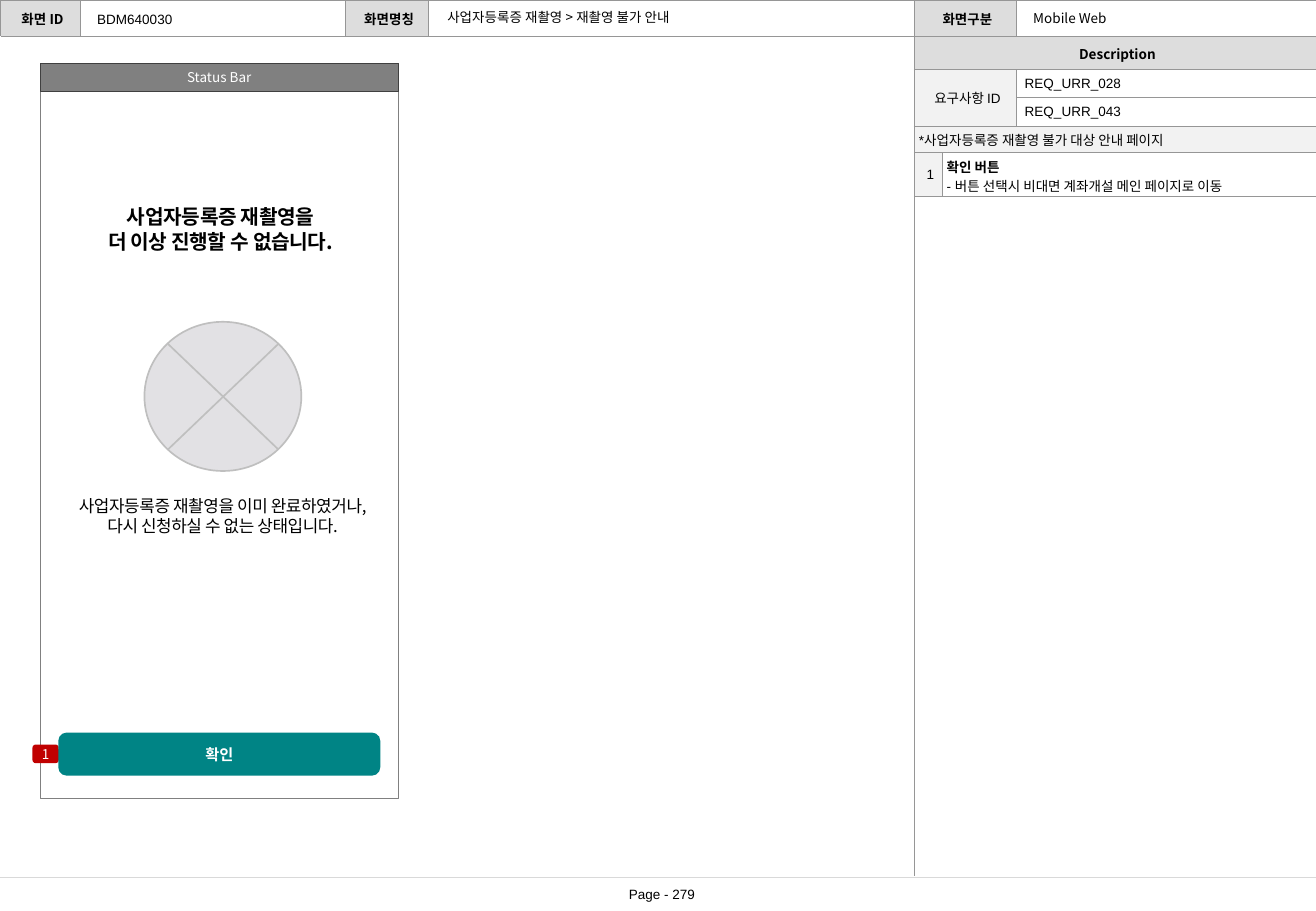
from dataclasses import dataclass
from typing import Optional

from lxml import etree
from pptx import Presentation
from pptx.dml.color import RGBColor
from pptx.enum import shapes as kinds, text as txt
from pptx.oxml import ns
from pptx.util import Cm, Pt


@dataclass(frozen=True)
class Theme:
    latin: str = "Arial"
    noto: str = "Noto Sans CJK KR"
    black: str = "000000"
    white: str = "FFFFFF"
    head: str = "DDDDDD"
    label: str = "F2F2F2"
    grid: str = "969696"
    bar: str = "808080"
    edge: str = "404040"
    rule: str = "D9D9D9"
    disc: str = "E2E1E4"
    cross: str = "BFBFBF"
    teal: str = "008485"
    red: str = "C00000"
    small: float = 8
    button: float = 9
    body: float = 10
    title: float = 12


T = Theme()
LEFT, MID = txt.PP_ALIGN.LEFT, txt.PP_ALIGN.CENTER
TOP, CENTRE = txt.MSO_ANCHOR.TOP, txt.MSO_ANCHOR.MIDDLE
KIND = kinds.MSO_SHAPE


@dataclass
class Cell:
    row: int
    col: int
    lines: tuple = ()
    fill: Optional[str] = None
    rows: int = 1
    cols: int = 1
    bold: tuple = ()
    font: str = T.latin
    align: txt.PP_ALIGN = MID
    anchor: txt.MSO_ANCHOR = CENTRE
    pad: tuple = (0.1, 0, 0, 0)
    sides: str = "LRTB"


@dataclass
class Box:
    kind: KIND
    area: tuple
    fill: str
    line: Optional[str] = None
    width: float = 0.25
    label: str = ""
    size: float = T.small
    bold: bool = False
    round: Optional[float] = None


def write(frame, lines, *, size=T.small, font=T.noto, color=T.black, bold=(),
          align=LEFT, anchor=CENTRE, pad=(0, 0, 0, 0), wrap=True,
          pitch=None, track=None) -> None:
    """Fill a text frame; bold lists the indexes of the bold lines."""
    frame.word_wrap, frame.vertical_anchor = wrap, anchor
    frame.auto_size = txt.MSO_AUTO_SIZE.NONE
    (frame.margin_left, frame.margin_top,
     frame.margin_right, frame.margin_bottom) = map(Cm, pad)
    for i, line in enumerate(lines):
        para = frame.add_paragraph() if i else frame.paragraphs[0]
        para.alignment = align
        if pitch:
            para.line_spacing = Pt(pitch)
        run = para.add_run()
        run.text = line
        run.font.size, run.font.name, run.font.bold = Pt(size), font, i in bold
        run.font.color.rgb = RGBColor.from_string(color)
        props = run.font._element
        etree.SubElement(props, ns.qn("a:ea")).set("typeface", T.noto)
        if track:
            props.set("spc", str(track))


def label(slide, area: tuple, lines: tuple, **form) -> None:
    write(slide.shapes.add_textbox(*map(Cm, area)).text_frame, lines, **form)


def draw(slide, box: Box) -> None:
    shape = slide.shapes.add_shape(box.kind, *map(Cm, box.area))
    shape.shadow.inherit = False
    shape.fill.solid()
    shape.fill.fore_color.rgb = RGBColor.from_string(box.fill)
    if box.line:
        shape.line.color.rgb = RGBColor.from_string(box.line)
        shape.line.width = Pt(box.width)
    else:
        shape.line.fill.background()
    if box.round is not None:
        shape.adjustments[0] = box.round
    if box.label:
        write(shape.text_frame, (box.label,), size=box.size, color=T.white,
              bold=(0,) if box.bold else (), align=MID)


def stroke(slide, ends: tuple, color: str, width: float) -> None:
    line = slide.shapes.add_connector(kinds.MSO_CONNECTOR.STRAIGHT, *map(Cm, ends))
    line.line.color.rgb = RGBColor.from_string(color)
    line.line.width = Pt(width)
    etree.SubElement(line._element.spPr, ns.qn("a:effectLst"))


def edge(cell, sides: str) -> None:
    props = cell._tc.get_or_add_tcPr()
    for side in sides:
        line = etree.SubElement(props, ns.qn(f"a:ln{side}"), w=str(Pt(0.25)))
        fill = etree.SubElement(line, ns.qn("a:solidFill"))
        etree.SubElement(fill, ns.qn("a:srgbClr"), val=T.grid)


def grid(slide, left: float, top: float, cols: tuple, rows: tuple, cells: list) -> None:
    area = map(Cm, (left, top, sum(cols), sum(rows)))
    table = slide.shapes.add_table(len(rows), len(cols), *area).table
    for parts, sizes, key in ((table.columns, cols, "width"), (table.rows, rows, "height")):
        for part, size in zip(parts, sizes):
            setattr(part, key, Cm(size))
    for item in table.iter_cells():
        end = item.text_frame.paragraphs[0]._p.get_or_add_endParaRPr()
        end.set("sz", str(T.small * 100))
    for c in cells:
        cell = table.cell(c.row, c.col)
        if c.rows * c.cols > 1:
            cell.merge(table.cell(c.row + c.rows - 1, c.col + c.cols - 1))
        for i in range(c.rows):
            for j in range(c.cols):
                edge(table.cell(c.row + i, c.col + j), c.sides)
        if c.fill:
            cell.fill.solid()
            cell.fill.fore_color.rgb = RGBColor.from_string(c.fill)
        else:
            cell.fill.background()
        cell.vertical_anchor = c.anchor
        (cell.margin_left, cell.margin_top,
         cell.margin_right, cell.margin_bottom) = map(Cm, c.pad)
        if c.lines:
            write(cell.text_frame, c.lines, font=c.font, bold=c.bold,
                  align=c.align, anchor=c.anchor, pad=c.pad)


def main() -> None:
    deck = Presentation()
    deck.slide_width, deck.slide_height = Cm(27.51), Cm(19.05)
    slide = deck.slides.add_slide(deck.slide_layouts[5])
    inset = (0.28, 0.1, 0.28, 0.1)
    side = 19.11

    # Screen name
    name = slide.shapes.title
    name.left, name.top, name.width, name.height = map(Cm, (9.07, 0.05, 9.93, 0.61))
    write(name.text_frame, ("사업자등록증 재촬영 > 재촬영 불가 안내",), pad=inset)

    # Page grid
    heads = [Cell(0, col, (word,), T.head, bold=(0,), font=T.noto)
             for col, word in ((0, "화면 ID"), (2, "화면명칭"), (4, "화면구분"))]
    blanks = [Cell(0, col) for col in (1, 3, 5)]
    grid(slide, 0, 0, (1.68, 5.54, 1.73, 10.16, 2.13, 6.27), (0.76, 0.71, 16.87),
         heads + blanks + [
             Cell(1, 0, rows=2, cols=4, sides="RT"),
             Cell(1, 4, ("Description",), T.head, cols=2, bold=(0,), font=T.noto),
             Cell(2, 4, cols=2, sides="LT")])
    label(slide, (1.75, 0.1, 4.95, 0.61), ("BDM640030",), font=T.latin, pad=inset)
    label(slide, (21.32, 0.08, 6, 0.61), ("Mobile Web",), pad=inset)

    # Footer
    stroke(slide, (0, 18.34, 27.51, 18.34), T.rule, 0.5)
    label(slide, (12.84, 18.32, 2, 0.74), ("Page - 279",), font=T.latin,
          align=MID, wrap=False)

    # Requirements and description
    codes = [Cell(row, 1, (code,), T.white, align=LEFT, pad=(0.18, 0, 0, 0))
             for row, code in enumerate(("REQ_URR_028", "REQ_URR_043"))]
    grid(slide, side, 1.45, (2.13, 6.27), (0.59, 0.59),
         [Cell(0, 0, ("요구사항 ID",), T.label, rows=2)] + codes)
    grid(slide, side, 2.64, (0.58, 7.82), (0.55, 0.92), [
        Cell(0, 0, ("*사업자등록증 재촬영 불가 대상 안내 페이지",), T.label,
             cols=2, align=LEFT),
        Cell(1, 0, ("1",), T.label),
        Cell(1, 1, ("확인 버튼", "- 버튼 선택시 비대면 계좌개설 메인 페이지로 이동"), T.white,
             bold=(0,), align=LEFT, anchor=TOP, pad=(0.1, 0.08, 0.1, 0))])

    # Phone screen
    for box in (
        Box(KIND.RECTANGLE, (0.84, 1.32, 7.49, 15.37), T.white, T.bar),
        Box(KIND.RECTANGLE, (0.84, 1.32, 7.49, 0.59), T.bar, T.edge, label="Status Bar"),
        Box(KIND.OVAL, (3.02, 6.73, 3.28, 3.12), T.disc, T.cross, 1),
        Box(KIND.ROUNDED_RECTANGLE, (0.68, 15.57, 0.55, 0.39), T.red, label="1"),
        Box(KIND.ROUNDED_RECTANGLE, (1.22, 15.32, 6.73, 0.9), T.teal, label="확인",
            size=T.button, bold=True, round=0.19),
    ):
        draw(slide, box)
    for start, stop in ((7.19, 9.4), (9.4, 7.19)):
        stroke(slide, (3.51, start, 5.82, stop), T.cross, 1)

    # Messages
    label(slide, (1.3, 4.27, 6.63, 1.02), ("사업자등록증 재촬영을", "더 이상 진행할 수 없습니다."),
          size=T.title, bold=(0, 1), align=MID, pitch=14.8, track=-20)
    label(slide, (1.3, 10.36, 6.71, 0.86),
          ("사업자등록증 재촬영을 이미 완료하였거나,", "다시 신청하실 수 없는 상태입니다."),
          size=T.body, align=MID, wrap=False, pitch=11.9, track=-20)

    deck.save("out.pptx")


if __name__ == "__main__":
    main()
